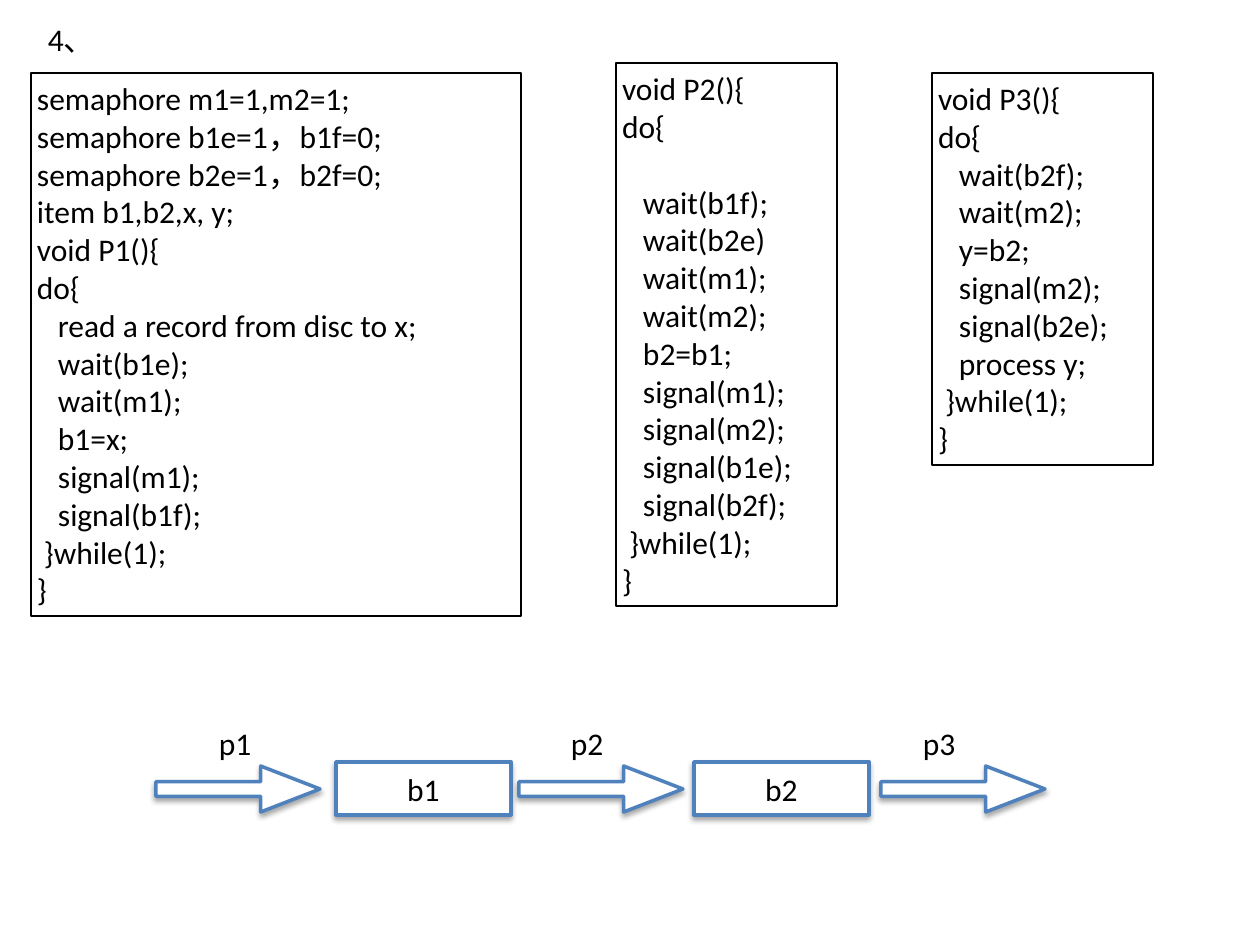
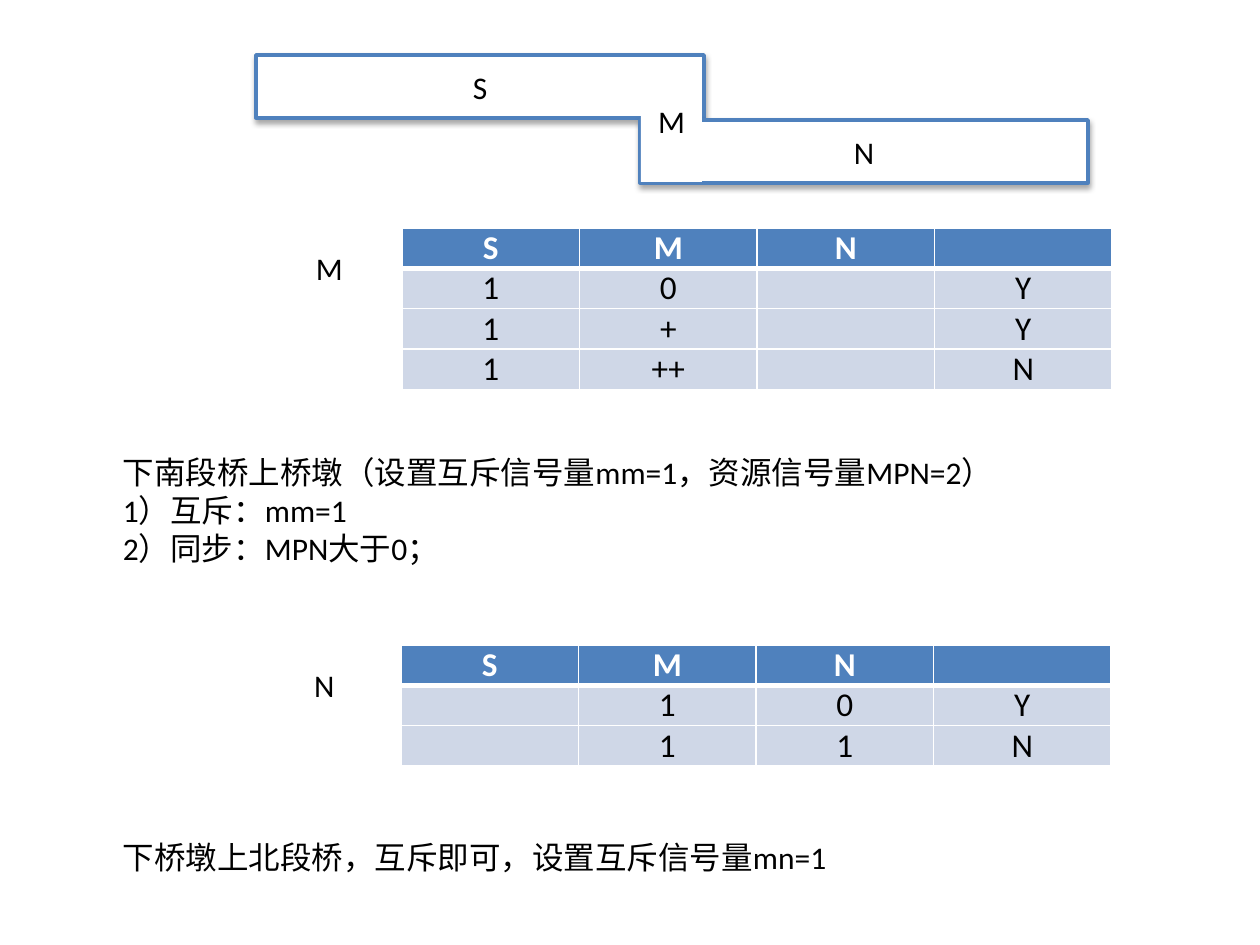
"""Build two slides on semaphores: a buffer pipeline and a bridge crossing."""
from lxml import etree
from pptx import Presentation, util as u
from pptx.dml.color import RGBColor
from pptx.enum import shapes, text
from pptx.oxml import parse_xml
from pptx.oxml.ns import nsdecls, qn

COLORS = {"ink": "000000", "paper": "FFFFFF", "accent": "4F81BD", "cell": "CFD7E7"}
RGB = {name: RGBColor.from_string(value) for name, value in COLORS.items()}
PX = 914400 / 126
SPACE = 7
LINE = 38
FRAME = {f"margin_{side}": u.Emu(round(6 * PX)) for side in ("left", "top", "right", "bottom")}
FRAME.update(word_wrap=True, auto_size=text.MSO_AUTO_SIZE.NONE)
CELL = {f"margin_{side}": 0 for side in ("left", "top", "right", "bottom")}
LEFT, CENTER = text.PP_ALIGN.LEFT, text.PP_ALIGN.CENTER
TOP, MIDDLE = text.MSO_ANCHOR.TOP, text.MSO_ANCHOR.MIDDLE
RECT, ARROW = shapes.MSO_SHAPE.RECTANGLE, shapes.MSO_SHAPE.RIGHT_ARROW
SHADOW = f"""<a:effectLst {nsdecls('a')}>
<a:outerShdw blurRad="38100" dist="22860" dir="5400000" rotWithShape="0">
<a:srgbClr val="{COLORS['ink']}"><a:alpha val="35000"/></a:srgbClr>
</a:outerShdw></a:effectLst>"""


def write(frame, content, align=LEFT, anchor=TOP):
    """Fill a frame with lines; leading spaces become indents, blank lines become gaps."""
    for name, value in {**FRAME, "vertical_anchor": anchor}.items():
        setattr(frame, name, value)
    para, gap = frame.paragraphs[0], 0
    for line in content.split("\n"):
        words = line.strip()
        if not words:
            gap = LINE
            continue
        if para.runs:
            para = frame.add_paragraph()
        para.alignment = align
        para.space_before = u.Emu(round(gap * PX))
        indent = len(line) - len(line.lstrip())
        para._p.get_or_add_pPr().set("marL", str(round(indent * SPACE * PX)))
        span = para.add_run()
        span.text = words
        for name, value in {"name": "Calibri", "size": u.Pt(18)}.items():
            setattr(span.font, name, value)
        span.font.color.rgb = RGB["ink"]
        gap = 0


def draw(page, preset, place, line=None, width=2, fill="paper", shadow=True):
    """Add a preset shape with the given outline, fill and soft shadow."""
    box = page.shapes.add_shape(preset, *(u.Emu(round(v * PX)) for v in place))
    box.shadow.inherit = False
    if fill:
        box.fill.solid()
        box.fill.fore_color.rgb = RGB[fill]
    else:
        box.fill.background()
    if line:
        box.line.color.rgb = RGB[line]
        box.line.width = u.Pt(width)
    else:
        box.line.fill.background()
    if shadow:
        properties = box._element.spPr
        properties.replace(properties.find(qn("a:effectLst")), parse_xml(SHADOW))
    return box


deck = Presentation()
deck.slide_width, deck.slide_height = (u.Emu(round(v * PX)) for v in (1260, 945))
pipeline, bridge = (deck.slides.add_slide(deck.slide_layouts[6]) for _ in range(2))

programs = [
    ((31, 73, 490, 543), """semaphore m1=1,m2=1;
semaphore b1e=1，b1f=0;
semaphore b2e=1，b2f=0;
item b1,b2,x, y;
void P1(){
do{
   read a record from disc to x;
   wait(b1e);
   wait(m1);
   b1=x;
   signal(m1);
   signal(b1f);
 }while(1);
}"""),
    ((932, 73, 221, 392), """void P3(){
do{
   wait(b2f);
   wait(m2);
   y=b2;
   signal(m2);
   signal(b2e);
   process y;
 }while(1);
}"""),
    ((616, 63, 221, 543), """void P2(){
do{

   wait(b1f);
   wait(b2e)
   wait(m1);
   wait(m2);
   b2=b1;
   signal(m1);
   signal(m2);
   signal(b1e);
   signal(b2f);
 }while(1);
}"""),
]
for place, code in programs:
    write(draw(pipeline, RECT, place, "ink", 1, None, False).text_frame, code)

for left, buffer in ((336, "b1"), (694, "b2")):
    box = draw(pipeline, RECT, (left, 762, 175, 53), "accent")
    write(box.text_frame, buffer, CENTER, MIDDLE)
for left in (519, 156, 881):
    arrow = draw(pipeline, ARROW, (left, 766, 164, 46), "accent")
    arrow.adjustments[0], arrow.adjustments[1] = 0.32, 1.29

for left, top, segment in ((256, 55, "S"), (640, 120, "N")):
    box = draw(bridge, RECT, (left, top, 448, 63), "accent")
    write(box.text_frame, segment, CENTER, MIDDLE)
pier = draw(bridge, RECT, (641, 60, 61, 122), shadow=False)
write(pier.text_frame, "M", CENTER, MIDDLE)

header = ["S", "M", "N", ""]
tables = [
    (402, 228, [header, ["1", "0", "", "Y"], ["1", "+", "", "Y"], ["1", "++", "", "N"]]),
    (401, 645, [header, ["", "1", "0", "Y"], ["", "1", "1", "N"]]),
]
for left, top, rows in tables:
    size = (left, top, 710, 40 * len(rows))
    table = bridge.shapes.add_table(len(rows), 4, *(u.Emu(round(v * PX)) for v in size)).table
    for r, row in enumerate(rows):
        for c, value in enumerate(row):
            cell = table.cell(r, c)
            for name, setting in CELL.items():
                setattr(cell, name, setting)
            cell.fill.solid()
            cell.fill.fore_color.rgb = RGB["cell" if r else "accent"]
            para = cell.text_frame.paragraphs[0]
            para.alignment = CENTER
            para.font.size = u.Pt(19)
            if value:
                span = para.add_run()
                span.text = value
                for name, setting in {"name": "Calibri", "size": u.Pt(19), "bold": r == 0}.items():
                    setattr(span.font, name, setting)
                span.font.color.rgb = RGB["ink" if r else "paper"]
            for order, side in enumerate("LRTB"):
                heavy = (r, side) in ((0, "B"), (1, "T"))
                edge = etree.Element(qn(f"a:ln{side}"), w=str(u.Pt(3 if heavy else 1)))
                paint = etree.SubElement(edge, qn("a:solidFill"))
                etree.SubElement(paint, qn("a:srgbClr"), val=COLORS["paper"])
                cell._tc.get_or_add_tcPr().insert(order, edge)

labels = [
    (pipeline, (42, 14, 90, 57), "4、"),
    *((pipeline, (left, 718, 48, 49), name)
      for left, name in ((213, "p1"), (565, "p2"), (917, "p3"))),
    (bridge, (310, 243, 37, 49), "M"),
    (bridge, (308, 660, 34, 49), "N"),
    (bridge, (117, 447, 895, 144),
     "下南段桥上桥墩（设置互斥信号量mm=1，资源信号量MPN=2）\n1）互斥：mm=1\n2）同步：MPN大于0；"),
    (bridge, (117, 832, 720, 57), "下桥墩上北段桥，互斥即可，设置互斥信号量mn=1"),
]
for page, place, content in labels:
    box = page.shapes.add_textbox(*(u.Emu(round(v * PX)) for v in place))
    write(box.text_frame, content)

deck.save("out.pptx")
